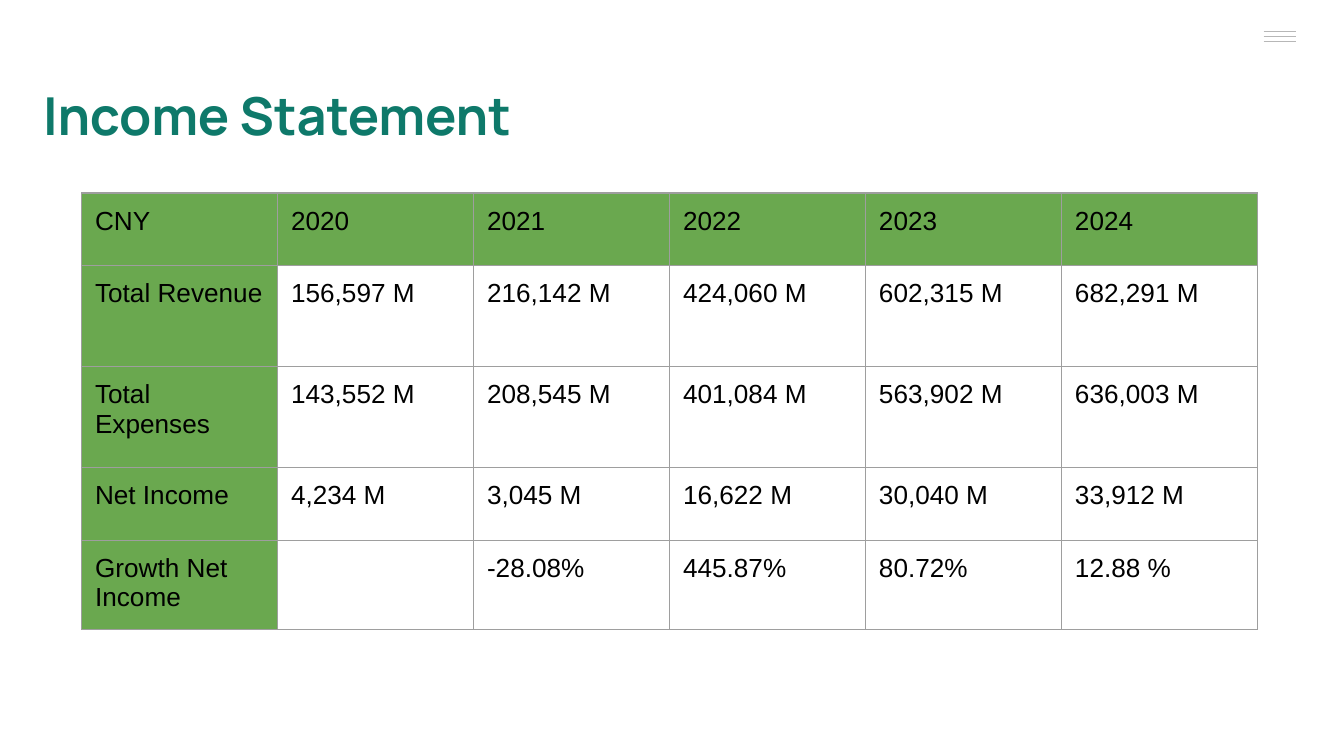
import pptx
import pptx.util
import pptx.dml.color
import pptx.enum.shapes
import pptx.enum.text
import pptx.oxml
import pptx.oxml.ns
import lxml.etree

Pt = pptx.util.Pt
RGB = pptx.dml.color.RGBColor
TEAL = RGB(0x0E, 0x79, 0x6A)
GREEN = RGB(0x6A, 0xA8, 0x4F)
BLACK = RGB(0, 0, 0)
GREY = RGB(0xB7, 0xB7, 0xB7)
EDGE = RGB(0x9E, 0x9E, 0x9E)
INSET = Pt(7.2)
RULE = Pt(0.75)

ROWS = [
    ["CNY", "2020", "2021", "2022", "2023", "2024"],
    ["Total Revenue", "156,597 M", "216,142 M", "424,060 M", "602,315 M", "682,291 M"],
    ["Total Expenses", "143,552 M", "208,545 M", "401,084 M", "563,902 M", "636,003 M"],
    ["Net Income", "4,234 M", "3,045 M", "16,622 M", "30,040 M", "33,912 M"],
    ["Growth Net Income", "", "-28.08%", "445.87%", "80.72%", "12.88 %"],
]
HEIGHTS = [38.8, 54.2, 54.2, 38.8, 46]


def put_text(frame, text, size=14, face="Arial", color=BLACK, bold=False, after=0):
    para = frame.paragraphs[0]
    para.space_after = Pt(after)
    para.font.size = Pt(size)
    if not text:
        return
    run = para.add_run()
    run.text = text
    run.font.size = Pt(size)
    run.font.name = face
    run.font.bold = bold
    run.font.color.rgb = color


def add_menu(slide, left, top, width, height):
    """Draw three evenly spaced rules."""
    for i in range(3):
        y = Pt(top + i * height / 2)
        line = slide.shapes.add_connector(
            pptx.enum.shapes.MSO_CONNECTOR.STRAIGHT, Pt(left), y, Pt(left + width), y)
        line.line.color.rgb = GREY
        line.line.width = RULE
        lxml.etree.SubElement(line._element.spPr, pptx.oxml.ns.qn("a:effectLst"))


def add_title(slide, left, top, width, height):
    box = slide.shapes.add_textbox(Pt(left), Pt(top), Pt(width), Pt(height))
    frame = box.text_frame
    frame.word_wrap = True
    frame.vertical_anchor = pptx.enum.text.MSO_ANCHOR.TOP
    frame.margin_left = frame.margin_right = INSET
    frame.margin_top = frame.margin_bottom = INSET
    put_text(frame, "Income Statement", size=28, face="Manrope",
             color=TEAL, bold=True, after=16)


def add_edges(cell):
    """Rule all four sides; borders must come before the fill."""
    props = cell._tc.get_or_add_tcPr()
    for i, side in enumerate(("lnL", "lnR", "lnT", "lnB")):
        props.insert(i, pptx.oxml.parse_xml(
            f'<a:{side} {pptx.oxml.ns.nsdecls("a")} w="{RULE}"><a:solidFill>'
            f'<a:srgbClr val="{EDGE}"/></a:solidFill></a:{side}>'))


def add_grid(slide, left, top, width, height):
    count = len(ROWS[0])
    table = slide.shapes.add_table(
        len(ROWS), count, Pt(left), Pt(top), Pt(width), Pt(height)).table
    table.horz_banding = False
    for col in table.columns:
        col.width = Pt(width / count)
    for r, row in enumerate(ROWS):
        table.rows[r].height = Pt(HEIGHTS[r])
        for c, text in enumerate(row):
            cell = table.cell(r, c)
            cell.margin_left = cell.margin_right = INSET
            cell.margin_top = cell.margin_bottom = INSET
            if r == 0 or c == 0:
                cell.fill.solid()
                cell.fill.fore_color.rgb = GREEN
            else:
                cell.fill.background()
            add_edges(cell)
            put_text(cell.text_frame, text)


def main():
    deck = pptx.Presentation()
    deck.slide_width, deck.slide_height = Pt(720), Pt(405)
    slide = deck.slides.add_slide(deck.slide_layouts[6])
    add_menu(slide, 677, 16.9, 17.3, 5.4)
    add_title(slide, 16, 37.5, 291, 45.4)
    add_grid(slide, 43.7, 103.4, 630, sum(HEIGHTS))
    deck.save("out.pptx")


if __name__ == "__main__":
    main()
